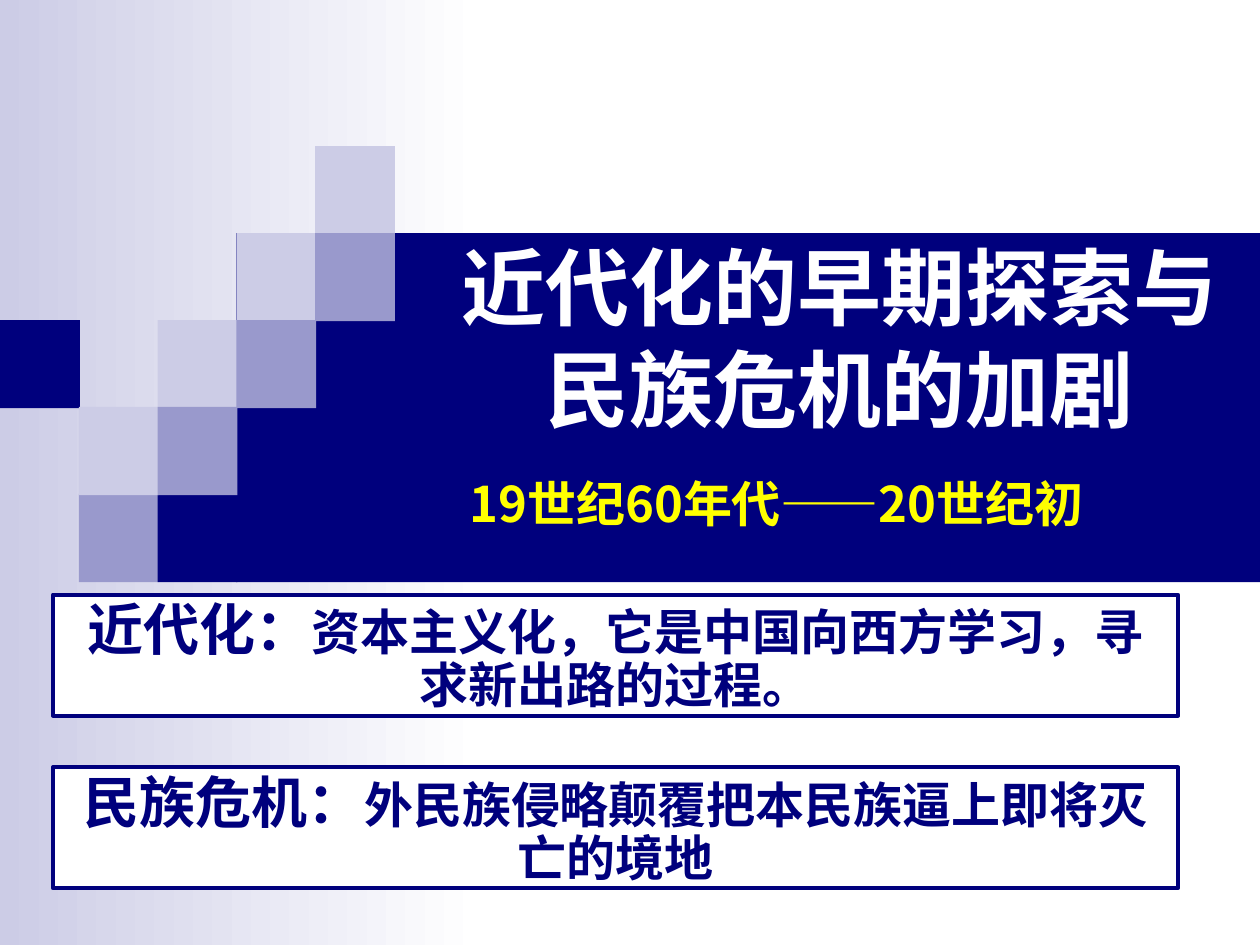
from lxml.etree import SubElement
from pptx import Presentation
from pptx.dml.color import RGBColor
from pptx.enum.shapes import MSO_SHAPE
from pptx.enum.text import MSO_ANCHOR, PP_ALIGN
from pptx.oxml.ns import qn
from pptx.util import Inches, Pt

FONT = "Noto Sans CJK SC"
NAVY, LILAC, VIOLET, WHITE, YELLOW = "00007D", "CCCCE6", "9999CC", "FFFFFF", "FFFF00"
COLUMN, ROW, GRID_TOP = 0.625, 0.69, 1.16
SQUARES = [
    (1, 4, VIOLET), (3, 1, LILAC), (4, 0, LILAC), (2, 4, NAVY), (4, 1, VIOLET),
    (2, 2, LILAC), (0, 2, NAVY), (3, 2, VIOLET), (1, 3, LILAC), (2, 3, VIOLET),
]
DEFINITIONS = [
    ("近代化：", "资本主义化，它是中国向西方学习，寻求新出路的过程。"),
    ("民族危机：", "外民族侵略颠覆把本民族逼上即将灭亡的境地"),
]


def color(value):
    """Turn a hex string into a colour."""
    return RGBColor.from_string(value)


def add_rectangle(slide, box, fill):
    """Add a plain rectangle without line or shadow."""
    shape = slide.shapes.add_shape(MSO_SHAPE.RECTANGLE, *map(Inches, box))
    shape.shadow.inherit = False
    shape.line.fill.background()
    shape.fill.solid()
    shape.fill.fore_color.rgb = color(fill)
    return shape


def add_run(paragraph, text, size, fill, outline=None):
    """Add bold text to a paragraph, with an optional outline colour."""
    run = paragraph.add_run()
    run.text = text
    run.font.size = Pt(size)
    run.font.bold = True
    run.font.name = FONT
    run.font.color.rgb = color(fill)
    properties = run.font._element
    east_asian = SubElement(properties, qn("a:ea"), typeface=FONT)
    properties.find(qn("a:latin")).addnext(east_asian)
    if outline:
        line = SubElement(properties, qn("a:ln"), w=str(Pt(0.75)))
        solid = SubElement(line, qn("a:solidFill"))
        SubElement(solid, qn("a:srgbClr"), val=outline)
        properties.insert(0, line)


def write_text(shape, runs, spacing, align=PP_ALIGN.CENTER, top=0.05):
    """Fill a shape with one paragraph made of formatted runs."""
    frame = shape.text_frame
    frame.word_wrap = True
    frame.vertical_anchor = MSO_ANCHOR.TOP
    frame.margin_top = Inches(top)
    paragraph = frame.paragraphs[0]
    paragraph.alignment = align
    paragraph.line_spacing = Pt(spacing)
    paragraph.space_before = Pt(0)
    for run in runs:
        add_run(paragraph, **run)


def draw_backdrop(slide, width, height):
    """Draw the side gradient, the title band and the stair of squares."""
    side = add_rectangle(slide, (0, 0, 3.83, height), LILAC)
    side.fill.gradient()
    side.fill.gradient_angle = 0
    for stop, value in zip(side.fill.gradient_stops, (LILAC, WHITE)):
        stop.color.rgb = color(value)
    left, top = 3 * COLUMN, GRID_TOP + ROW
    add_rectangle(slide, (left, top, width - left, 4 * ROW + 0.01), NAVY)
    for column, row, fill in SQUARES:
        box = (column * COLUMN, GRID_TOP + row * ROW, COLUMN + 0.01, ROW + 0.01)
        add_rectangle(slide, box, fill)


def place_title(slide, box):
    """Place the slide title in its box."""
    title = slide.shapes.title
    title.left, title.top, title.width, title.height = map(Inches, box)
    runs = [dict(text="近代化的早期探索与民族危机的加剧", size=48, fill=WHITE)]
    write_text(title, runs, spacing=58.3)


def place_period(slide, box):
    """Place the line that names the period."""
    period = slide.shapes.add_textbox(*map(Inches, box))
    runs = [dict(text="19世纪60年代——20世纪初", size=28, fill=YELLOW, outline=YELLOW)]
    write_text(period, runs, spacing=28.8, align=PP_ALIGN.LEFT)


def place_definition(slide, box, term, meaning):
    """Place a framed term with its meaning."""
    frame = add_rectangle(slide, box, WHITE)
    frame.line.color.rgb = color(NAVY)
    frame.line.width = Pt(2.25)
    runs = [dict(text=term, size=32, fill=NAVY), dict(text=meaning, size=28, fill=NAVY)]
    write_text(frame, runs, spacing=29.6, top=0.12)


def main():
    """Build and save the slide."""
    presentation = Presentation()
    width, height = 10, 7.5
    presentation.slide_width, presentation.slide_height = Inches(width), Inches(height)
    slide = presentation.slides.add_slide(presentation.slide_layouts[5])
    draw_backdrop(slide, width, height)
    slide.shapes._spTree.append(slide.shapes.title._element)
    place_title(slide, (3.49, 1.81, 6.34, 2.42))
    place_period(slide, (3.63, 3.78, 5.2, 0.5))
    for index, (term, meaning) in enumerate(DEFINITIONS):
        place_definition(slide, (0.42, 4.72 + index * 1.37, 8.93, 0.96), term, meaning)
    presentation.save("out.pptx")


if __name__ == "__main__":
    main()
